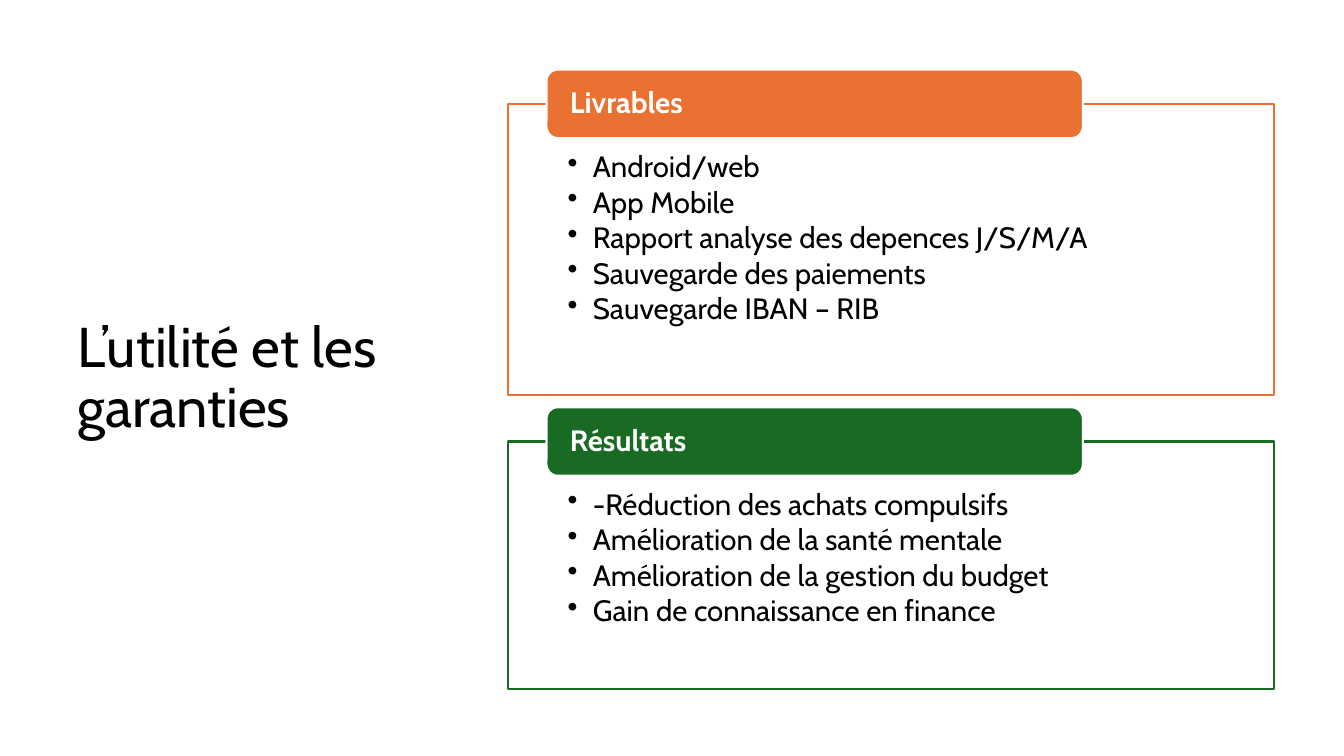
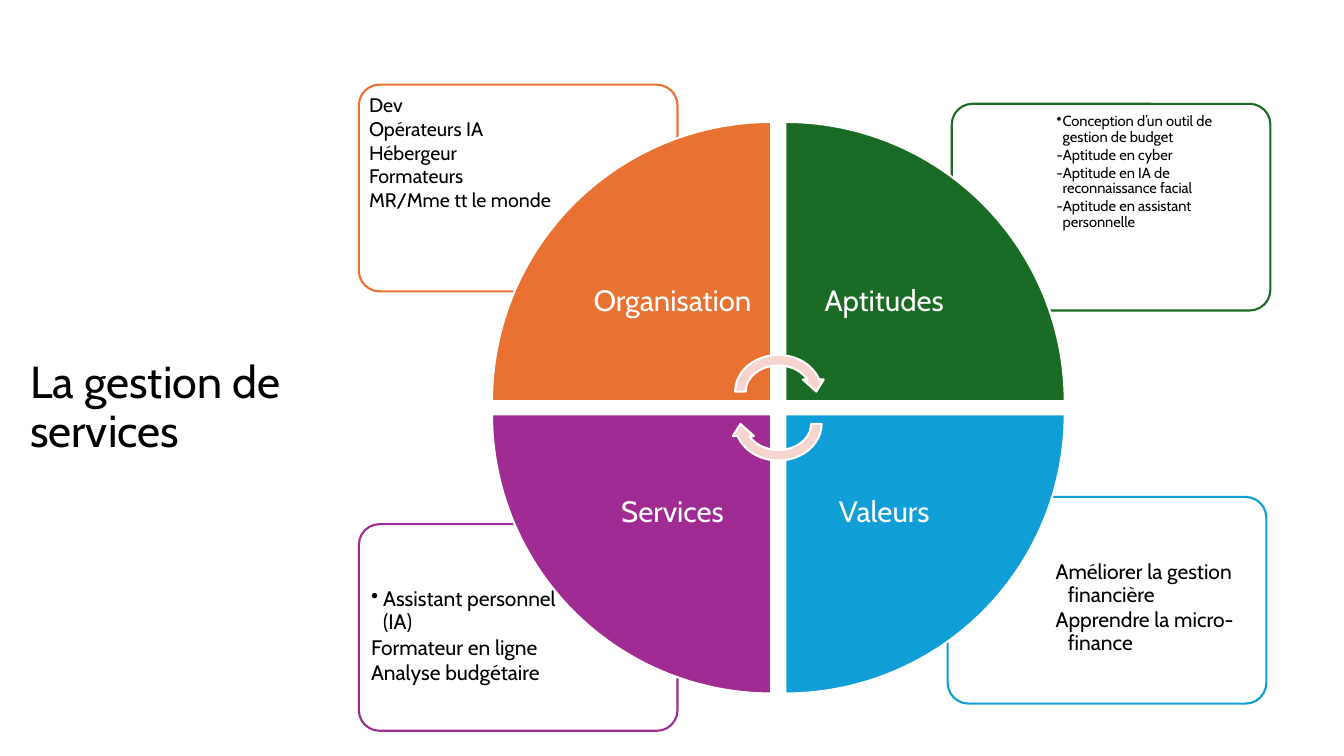
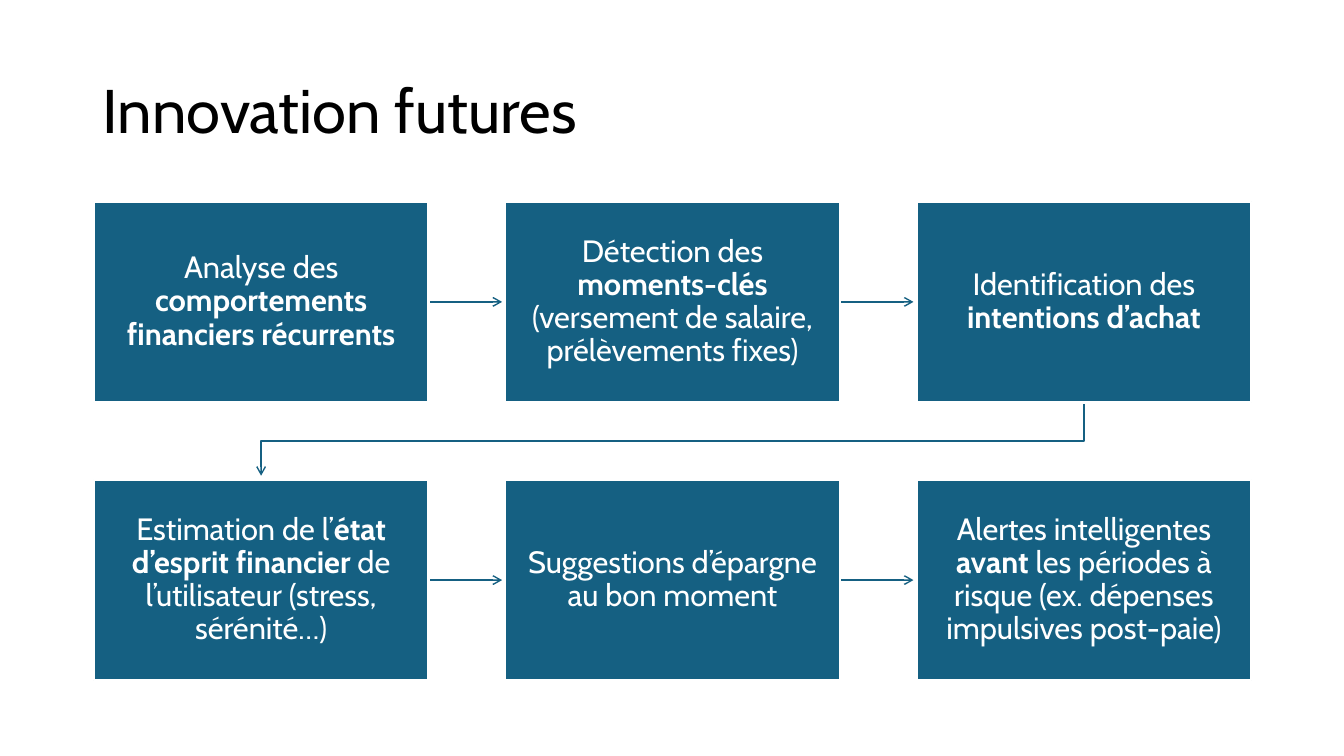
import lxml.etree
import pptx
import pptx.dml.color
import pptx.enum.shapes
import pptx.enum.text
import pptx.oxml.ns
import pptx.util

Inches = pptx.util.Inches
Pt = pptx.util.Pt
SHAPE = pptx.enum.shapes.MSO_SHAPE
ALIGN = pptx.enum.text.PP_ALIGN
ANCHOR = pptx.enum.text.MSO_ANCHOR
qn = pptx.oxml.ns.qn

FONT = "Cabin"
COLORS = {
    "black": "000000", "white": "FFFFFF", "orange": "E97132", "green": "196B24",
    "blue": "0F9ED5", "purple": "A02B93", "teal": "156082", "pink": "F7D5CE",
}


# Shared helpers
def color(name):
    return pptx.dml.color.RGBColor.from_string(COLORS[name])


def put(item, values):
    for name, value in values.items():
        setattr(item, name, value)


def indent(para, hang, dot):
    props = para._p.get_or_add_pPr()
    props.set("marL", str(Inches(hang)))
    props.set("indent", str(-Inches(hang)))
    if dot:
        lxml.etree.SubElement(props, qn("a:buChar")).set("char", "•")


def write(shape, lines, size, ink="black", align=ALIGN.LEFT, anchor=ANCHOR.TOP,
          pad=(0.1, 0.05, 0.1, 0.05), hang=0, bold=False):
    """Text between * marks is bold; a line that opens with • gets a bullet."""
    frame = shape.text_frame
    left, top, right, bottom = map(Inches, pad)
    put(frame, {"word_wrap": True, "vertical_anchor": anchor, "margin_left": left,
                "margin_top": top, "margin_right": right, "margin_bottom": bottom})
    for i, line in enumerate(lines):
        para = frame.paragraphs[0] if i == 0 else frame.add_paragraph()
        if hang:
            indent(para, hang, line.startswith("•"))
        after = Pt(round(size * 0.13, 1)) if hang else Pt(0)
        put(para, {"alignment": align, "line_spacing": 0.9, "space_after": after})
        for j, part in enumerate(line.lstrip("•").split("*")):
            if part:
                run = para.add_run()
                run.text = part
                put(run.font, {"name": FONT, "size": Pt(size),
                               "bold": bold or j % 2 == 1})
                run.font.color.rgb = color(ink)


def label(slide, box, lines, size, **style):
    write(slide.shapes.add_textbox(*map(Inches, box)), lines, size, **style)


def block(slide, kind, box, fill, edge="white", turn=0):
    shape = slide.shapes.add_shape(kind, *map(Inches, box))
    put(shape, {"rotation": turn})
    shape.shadow.inherit = False
    shape.fill.solid()
    shape.fill.fore_color.rgb = color(fill)
    shape.line.color.rgb = color(edge)
    shape.line.width = Pt(1.5)
    return shape


def title(slide, box, text, size):
    label(slide, box, [text], size, anchor=ANCHOR.MIDDLE)


# Slide 1: panels with a tab on the top edge
def panel(slide, box, hue, head, lines):
    left, top, width, height = box
    body = block(slide, SHAPE.RECTANGLE, box, "white", hue)
    write(body, lines, 21, pad=(0.59, 0.48, 0.59, 0.16), hang=0.25)
    tab = block(slide, SHAPE.ROUNDED_RECTANGLE,
                (left + 0.38, top - 0.34, width * 0.7, 0.68), hue)
    write(tab, [head], 21, ink="white", anchor=ANCHOR.MIDDLE,
          pad=(0.2, 0, 0.2, 0), bold=True)


def build_panels(slide):
    title(slide, (0.67, 0.6, 3.82, 6.33), "L’utilité et les garanties", 40)
    panel(slide, (5.04, 1.03, 7.6, 2.89), "orange", "Livrables",
          ["•Android/web", "•App Mobile", "•Rapport analyse des depences J/S/M/A",
           "•Sauvegarde des paiements", "•Sauvegarde IBAN – RIB"])
    panel(slide, (5.04, 4.38, 7.6, 2.46), "green", "Résultats",
          ["•-Réduction des achats compulsifs", "•Amélioration de la santé mentale",
           "•Amélioration de la gestion du budget", "•Gain de connaissance en finance"])


# Slide 2: wheel of four wedges, each with a card
# Name, hue, column, row, wedge turn, card place, text size, pad, hang, lines
PARTS = [
    ("Organisation", "orange", 0, 0, 0, (3.56, 0.84), 14, 0.06, 0.12,
     ["Dev", "Opérateurs IA", "Hébergeur", "Formateurs", "MR/Mme tt le monde"]),
    ("Aptitudes", "green", 1, 0, 90, (9.44, 1.03), 10.5, 0.05, 0.06,
     ["•Conception d’un outil de gestion de budget", "-Aptitude en cyber",
      "-Aptitude en IA de reconnaissance facial", "-Aptitude en assistant personnelle"]),
    ("Valeurs", "blue", 1, 1, 180, (9.4, 4.93), 15, 0.08, 0.12,
     ["Améliorer la gestion financière", "Apprendre la micro-finance"]),
    ("Services", "purple", 0, 1, 270, (3.56, 5.2), 15, 0.08, 0.12,
     ["•Assistant personnel (IA)", "Formateur en ligne", "Analyse budgétaire"]),
]


def card(slide, place, hue, col, row, lines, size, pad, hang):
    left, top = place
    shape = block(slide, SHAPE.ROUNDED_RECTANGLE, (left, top, 3.16, 2.05), "white", hue)
    shape.adjustments[0] = 0.1
    box = (left + (0.04, 0.99)[col], top + (0.05, 0.56)[row], 2.12, 1.45)
    label(slide, box, lines, size, pad=(pad,) * 4, hang=hang)


def wedge(slide, left, top, name, hue, col, row, turn):
    side, inner = 2.77, 1.96
    x, y = left + col * 2.91, top + row * 2.9
    block(slide, SHAPE.PIE_WEDGE, (x, y, side, side), hue, turn=turn)
    box = (x + (1 - col) * (side - inner), y + (1 - row) * (side - inner), inner, inner)
    label(slide, box, [name], 21, ink="white", align=ALIGN.CENTER,
          anchor=ANCHOR.MIDDLE, pad=(0.16,) * 4)


def build_wheel(slide):
    title(slide, (0.2, 1.44, 3.18, 5.22), "La gestion de services", 32)
    for name, hue, col, row, turn, place, size, pad, hang, lines in PARTS:
        card(slide, place, hue, col, row, lines, size, pad, hang)
    for name, hue, col, row, turn, *rest in PARTS:
        wedge(slide, 4.88, 1.21, name, hue, col, row, turn)
    for top, turn in ((3.47, 0), (3.79, 180)):
        block(slide, SHAPE.CIRCULAR_ARROW, (7.24, top, 0.96, 0.83), "pink", turn=turn)


# Slide 3: two rows of steps joined by arrows
STEPS = [
    "Analyse des *comportements financiers récurrents*",
    "Détection des *moments-clés* (versement de salaire, prélèvements fixes)",
    "Identification des *intentions d’achat*",
    "Estimation de l’*état d’esprit financier* de l’utilisateur (stress, sérénité…)",
    "Suggestions d’épargne au bon moment",
    "Alertes intelligentes *avant* les périodes à risque "
    "(ex. dépenses impulsives post-paie)",
]


def point(line):
    line.line.color.rgb = color("teal")
    line.line.width = Pt(1)
    props = line._element.spPr
    lxml.etree.SubElement(props.find(qn("a:ln")), qn("a:tailEnd")).set("type", "arrow")
    if props.find(qn("a:effectLst")) is None:
        lxml.etree.SubElement(props, qn("a:effectLst"))


def link(slide, x, y, length):
    kind = pptx.enum.shapes.MSO_CONNECTOR.STRAIGHT
    point(slide.shapes.add_connector(kind, *map(Inches, (x, y, x + length, y))))


def bend(slide, start, end, middle):
    spots = [start, (start[0], middle), (end[0], middle), end]
    first, *rest = [(Inches(x), Inches(y)) for x, y in spots]
    form = slide.shapes.build_freeform(*first)
    form.add_line_segments(rest, close=False)
    shape = form.convert_to_shape()
    shape.fill.background()
    point(shape)


def flow(slide, left, top):
    width, height, across, down = 3.32, 1.99, 4.08, 2.76
    for i, step in enumerate(STEPS):
        row, col = divmod(i, 3)
        x, y = left + col * across, top + row * down
        if col < 2:
            link(slide, x + width, y + height / 2, 0.73)
        shape = block(slide, SHAPE.RECTANGLE, (x, y, width, height), "teal")
        write(shape, [step], 22, ink="white", align=ALIGN.CENTER,
              anchor=ANCHOR.MIDDLE, pad=(0.16, 0.17, 0.16, 0.17))
    mid = left + width / 2
    bend(slide, (mid + 2 * across, top + height + 0.02), (mid, top + down - 0.04),
         top + (height + down) / 2)


def build_steps(slide):
    title(slide, (0.92, 0.4, 11.5, 1.45), "Innovation futures", 44)
    flow(slide, 0.93, 2)


def main():
    deck = pptx.Presentation()
    put(deck, {"slide_width": Inches(13.33), "slide_height": Inches(7.5)})
    for build in (build_panels, build_wheel, build_steps):
        build(deck.slides.add_slide(deck.slide_layouts[6]))
    deck.save("out.pptx")


if __name__ == "__main__":
    main()
